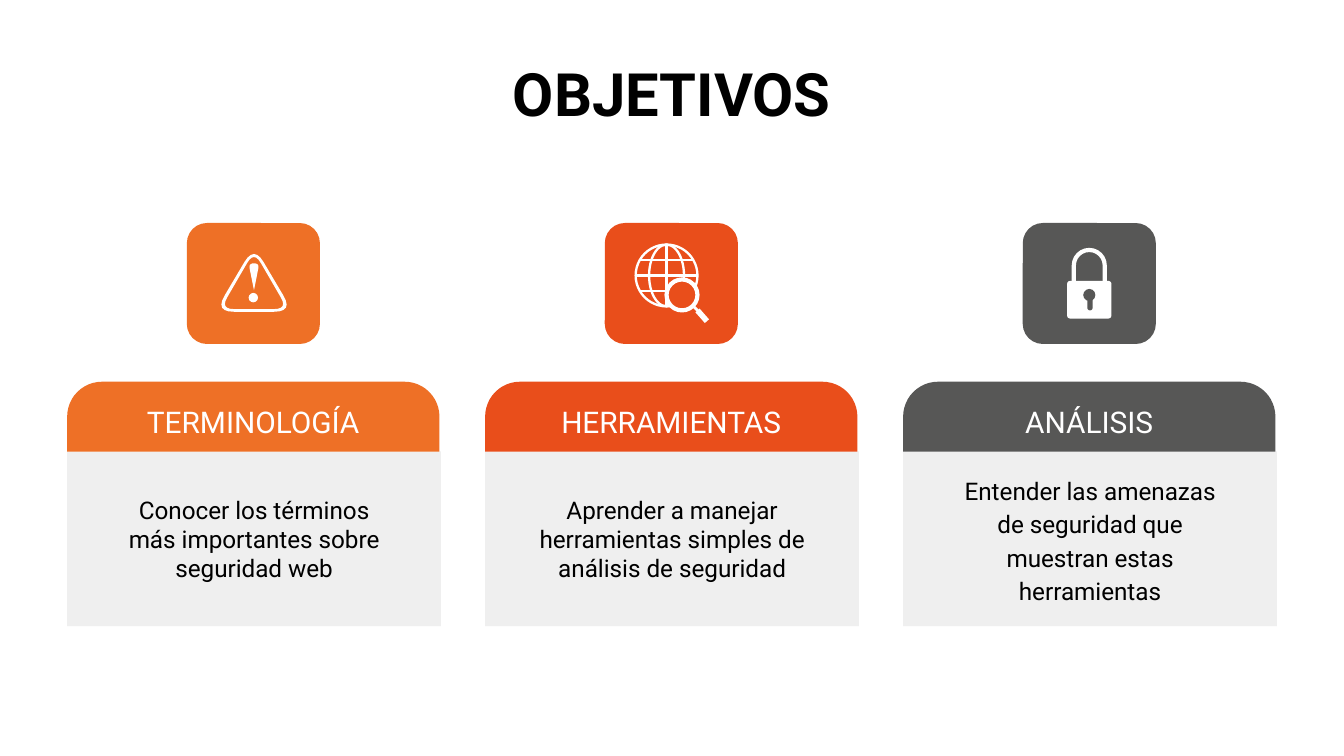
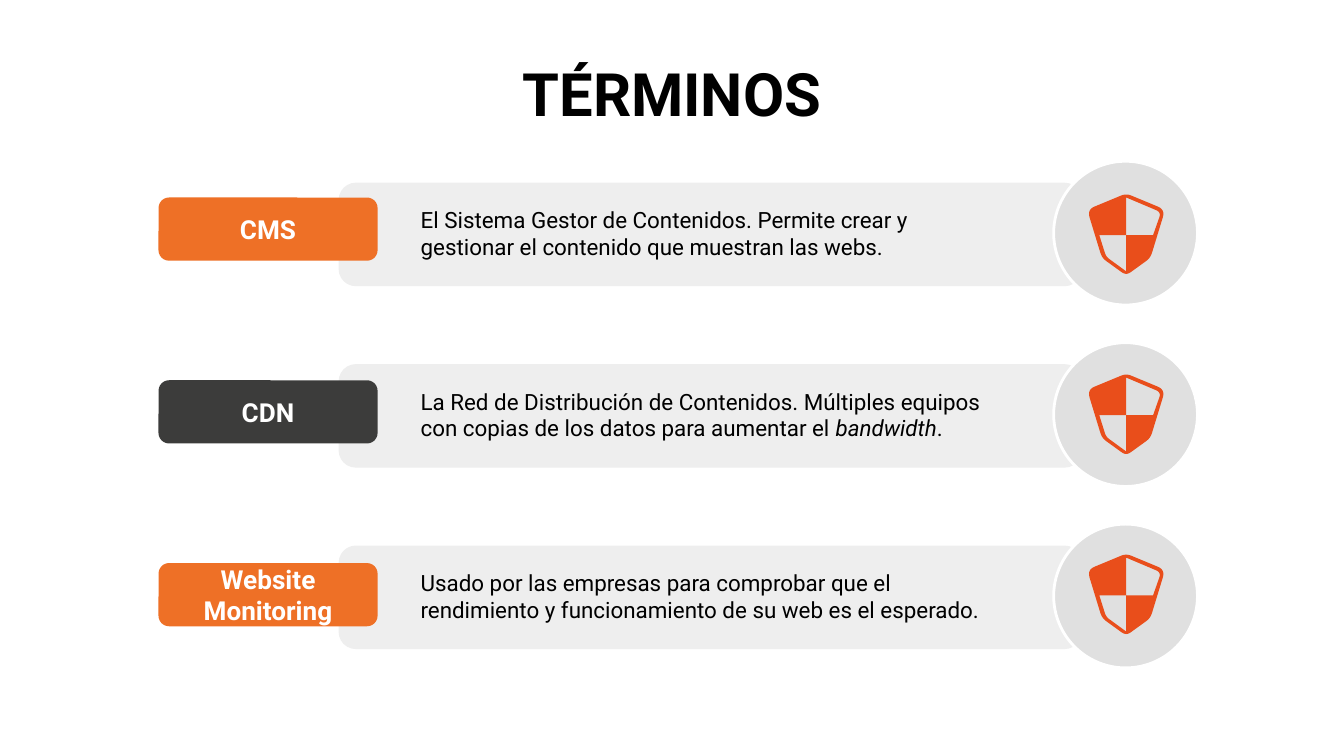
import pptx
import pptx.util
from lxml import etree
from pptx.dml.color import RGBColor
from pptx.enum.shapes import MSO_CONNECTOR, MSO_SHAPE
from pptx.enum.text import MSO_ANCHOR, MSO_AUTO_SIZE, PP_ALIGN
from pptx.oxml.ns import qn
from pptx.util import Inches

FONT = "Roboto"
BLACK = RGBColor(0x00, 0x00, 0x00)
WHITE = RGBColor(0xFF, 0xFF, 0xFF)
ORANGE = RGBColor(0xEE, 0x70, 0x26)
RED = RGBColor(0xE9, 0x4E, 0x1B)
GRAY = RGBColor(0x57, 0x57, 0x56)
CHARCOAL = RGBColor(0x3C, 0x3C, 0x3B)
CARD_GRAY = RGBColor(0xEF, 0xEF, 0xEF)
BAR_GRAY = RGBColor(0xEE, 0xEE, 0xEE)
BADGE_GRAY = RGBColor(0xE0, 0xE0, 0xE0)

CARD_PITCH = 3.11
CORNER = 1 / 6


def paint(shape, fill=None, line=None, width=1.0):
    shape.shadow.inherit = False
    if fill is None:
        shape.fill.background()
    else:
        shape.fill.solid()
        shape.fill.fore_color.rgb = fill
    if line is None:
        shape.line.fill.background()
    else:
        shape.line.color.rgb = line
        shape.line.width = pptx.util.Pt(width)
    return shape


def add_preset(slide, preset, box, fill=None, line=None, width=1.0, adjust=()):
    shape = slide.shapes.add_shape(preset, *map(Inches, box))
    for index, value in enumerate(adjust):
        shape.adjustments[index] = value
    return paint(shape, fill, line, width)


def add_stroke(slide, start, end, width):
    stroke = slide.shapes.add_connector(
        MSO_CONNECTOR.STRAIGHT, *map(Inches, (*start, *end)))
    stroke.line.color.rgb = WHITE
    stroke.line.width = pptx.util.Pt(width)
    etree.SubElement(stroke._element.spPr, qn("a:effectLst"))


def write(shape, parts, size, color, bold=None, align=PP_ALIGN.CENTER,
          side=0.1, spacing=None, anchor=MSO_ANCHOR.MIDDLE):
    """Fill a shape with one paragraph made of (text, italic) parts."""
    frame = shape.text_frame
    frame.word_wrap = True
    frame.auto_size = MSO_AUTO_SIZE.NONE
    frame.vertical_anchor = anchor
    frame.margin_left = frame.margin_right = Inches(side)
    frame.margin_top = frame.margin_bottom = Inches(0.1)
    paragraph = frame.paragraphs[0]
    paragraph.alignment = align
    if spacing:
        paragraph.line_spacing = spacing
    font = paragraph.font
    font.name, font.size, font.bold = FONT, pptx.util.Pt(size), bold
    font.color.rgb = color
    for text, italic in parts:
        run = paragraph.add_run()
        run.text = text
        if italic:
            run.font.italic = True


def round_corners(corners, steps=6):
    """Turn (x, y, cut) corners into points, each corner a quadratic curve."""
    points = []
    for index, (x, y, cut) in enumerate(corners):
        if not cut:
            points.append((x, y))
            continue
        ends = []
        for nx, ny, _ in (corners[index - 1], corners[(index + 1) % len(corners)]):
            share = cut / ((nx - x) ** 2 + (ny - y) ** 2) ** 0.5
            ends.append((x + (nx - x) * share, y + (ny - y) * share))
        (ax, ay), (bx, by) = ends
        for step in range(steps + 1):
            t = step / steps
            a, c, b = (1 - t) ** 2, 2 * t * (1 - t), t ** 2
            points.append((a * ax + c * x + b * bx, a * ay + c * y + b * by))
    return points


def add_outline(slide, left, top, contours, fill):
    """Draw contours placed from (left, top); inner ones become holes."""
    builder = None
    for contour in contours:
        points = [(Inches(left + x), Inches(top + y))
                  for x, y in round_corners(contour)]
        if builder is None:
            builder = slide.shapes.build_freeform(*points[0])
        else:
            builder.move_to(*points[0])
        builder.add_line_segments(points[1:], close=True)
    return paint(builder.convert_to_shape(), fill)


def add_titled_slide(deck, title):
    slide = deck.slides.add_slide(deck.slide_layouts[5])
    heading = slide.shapes.title
    heading.left, heading.top = Inches(0.5), Inches(0.32)
    heading.width, heading.height = Inches(9), Inches(0.63)
    write(heading, [(title, False)], 32, BLACK, bold=True, anchor=MSO_ANCHOR.TOP)
    return slide


def draw_warning(slide, left, top, _):
    outer = [(0.5, 0.17, 0.14), (0.79, 0.66, 0.14), (0.21, 0.66, 0.14)]
    inner = [(0.5, 0.21, 0.1), (0.75, 0.64, 0.1), (0.25, 0.64, 0.1)]
    add_outline(slide, left, top, [outer, inner], WHITE)
    mark = [(0.46, 0.3, 0.04), (0.54, 0.3, 0.04), (0.5, 0.5, 0)]
    add_outline(slide, left, top, [mark], WHITE)
    add_preset(slide, MSO_SHAPE.OVAL, (left + 0.46, top + 0.52, 0.07, 0.07), WHITE)


def draw_globe(slide, left, top, tile_color):
    x, y, radius = left + 0.46, top + 0.39, 0.23
    for half_width in (radius, 0.13):
        add_preset(slide, MSO_SHAPE.OVAL,
                   (x - half_width, y - radius, 2 * half_width, 2 * radius),
                   line=WHITE, width=1.25)
    add_stroke(slide, (x, y - radius), (x, y + radius), 1.25)
    for rise in (-radius / 2, 0, radius / 2):
        half_chord = (radius ** 2 - rise ** 2) ** 0.5
        add_stroke(slide, (x - half_chord, y + rise), (x + half_chord, y + rise), 1.25)
    add_preset(slide, MSO_SHAPE.OVAL, (left + 0.46, top + 0.42, 0.23, 0.23),
               tile_color, WHITE, 2.25)
    add_stroke(slide, (left + 0.66, top + 0.62), (left + 0.7, top + 0.66), 1.5)
    add_stroke(slide, (left + 0.69, top + 0.65), (left + 0.76, top + 0.73), 3)


def draw_padlock(slide, left, top, tile_color):
    add_preset(slide, MSO_SHAPE.ROUND_2_SAME_RECTANGLE,
               (left + 0.38, top + 0.2, 0.23, 0.28),
               line=WHITE, width=2.25, adjust=(0.5, 0))
    add_preset(slide, MSO_SHAPE.ROUNDED_RECTANGLE,
               (left + 0.33, top + 0.43, 0.33, 0.28), WHITE, adjust=(0.08,))
    add_preset(slide, MSO_SHAPE.OVAL,
               (left + 0.45, top + 0.49, 0.09, 0.09), tile_color)
    add_preset(slide, MSO_SHAPE.ROUNDED_RECTANGLE,
               (left + 0.48, top + 0.54, 0.04, 0.11), tile_color, adjust=(0.5,))


def draw_shield(slide, center_x, center_y):
    outer = [(0, -0.3, 0.04), (0.29, -0.18, 0.06), (0.18, 0.18, 0.04),
             (0, 0.31, 0.04), (-0.18, 0.18, 0.04), (-0.29, -0.18, 0.06)]
    upper_right = [(0, -0.27, 0), (0.26, -0.16, 0.04), (0.2, 0.01, 0), (0, 0.01, 0)]
    lower_left = [(0, 0.28, 0), (-0.15, 0.17, 0.03), (-0.2, 0.01, 0), (0, 0.01, 0)]
    add_outline(slide, center_x, center_y, [outer, upper_right, lower_left], RED)


def add_goal_card(slide, left, top, name, goal, color, draw_icon, spacing):
    add_preset(slide, MSO_SHAPE.ROUNDED_RECTANGLE, (left + 0.89, top, 0.99, 0.9),
               color, adjust=(CORNER,))
    draw_icon(slide, left + 0.89, top, color)
    body = add_preset(slide, MSO_SHAPE.ROUNDED_RECTANGLE,
                      (left, top + 1.7, 2.78, 1.3), CARD_GRAY, adjust=(0,))
    write(body, [(goal, False)], 13, BLACK, side=0.4, spacing=spacing)
    header = add_preset(slide, MSO_SHAPE.ROUND_2_SAME_RECTANGLE,
                        (left, top + 1.18, 2.77, 0.52), color, adjust=(0.5, 0))
    write(header, [(name, False)], 16, WHITE)


def add_term_row(slide, index, term, meaning, color):
    """Place one row; chips and shields have a slightly different pitch."""
    top = 1.2 + 1.35 * index
    add_preset(slide, MSO_SHAPE.ROUNDED_RECTANGLE, (2.52, top + 0.16, 5.53, 0.77),
               BAR_GRAY, adjust=(CORNER,))
    add_preset(slide, MSO_SHAPE.OVAL, (7.84, top, 1.07, 1.07), BADGE_GRAY, WHITE, 1.5)
    draw_shield(slide, 8.38, 1.74 + 1.34 * index)
    description = slide.shapes.add_textbox(
        *map(Inches, (2.93, top + 0.26, 4.7, 0.55)))
    write(description, meaning, 12, BLACK, align=PP_ALIGN.LEFT, side=0.2)
    chip = add_preset(slide, MSO_SHAPE.ROUNDED_RECTANGLE,
                      (1.18, 1.47 + 1.36 * index, 1.63, 0.47), color, adjust=(CORNER,))
    write(chip, [(term, False)], 14, WHITE, bold=True, side=0.27)


def build_goals(deck):
    slide = add_titled_slide(deck, "OBJETIVOS")
    goals = [
        ("TERMINOLOGÍA", "Conocer los términos más importantes sobre seguridad web",
         ORANGE, draw_warning, None),
        ("HERRAMIENTAS",
         "Aprender a manejar herramientas simples de análisis de seguridad",
         RED, draw_globe, None),
        ("ANÁLISIS",
         "Entender las amenazas de seguridad que muestran estas herramientas",
         GRAY, draw_padlock, 1.15),
    ]
    for index, goal in enumerate(goals):
        add_goal_card(slide, 0.5 + CARD_PITCH * index, 1.66, *goal)


def build_terms(deck):
    slide = add_titled_slide(deck, "TÉRMINOS")
    terms = [
        ("CMS",
         [("El Sistema Gestor de Contenidos. Permite crear y gestionar "
           "el contenido que muestran las webs.", False)], ORANGE),
        ("CDN",
         [("La Red de Distribución de Contenidos. Múltiples equipos con copias "
           "de los datos para aumentar el ", False),
          ("bandwidth", True), (".", False)], CHARCOAL),
        ("Website Monitoring",
         [("Usado por las empresas para comprobar que el rendimiento y "
           "funcionamiento de su web es el esperado.", False)], ORANGE),
    ]
    for index, term in enumerate(terms):
        add_term_row(slide, index, *term)


def main():
    deck = pptx.Presentation()
    deck.slide_width = Inches(10)
    deck.slide_height = deck.slide_width * 9 // 16
    build_goals(deck)
    build_terms(deck)
    deck.save("out.pptx")


if __name__ == "__main__":
    main()
